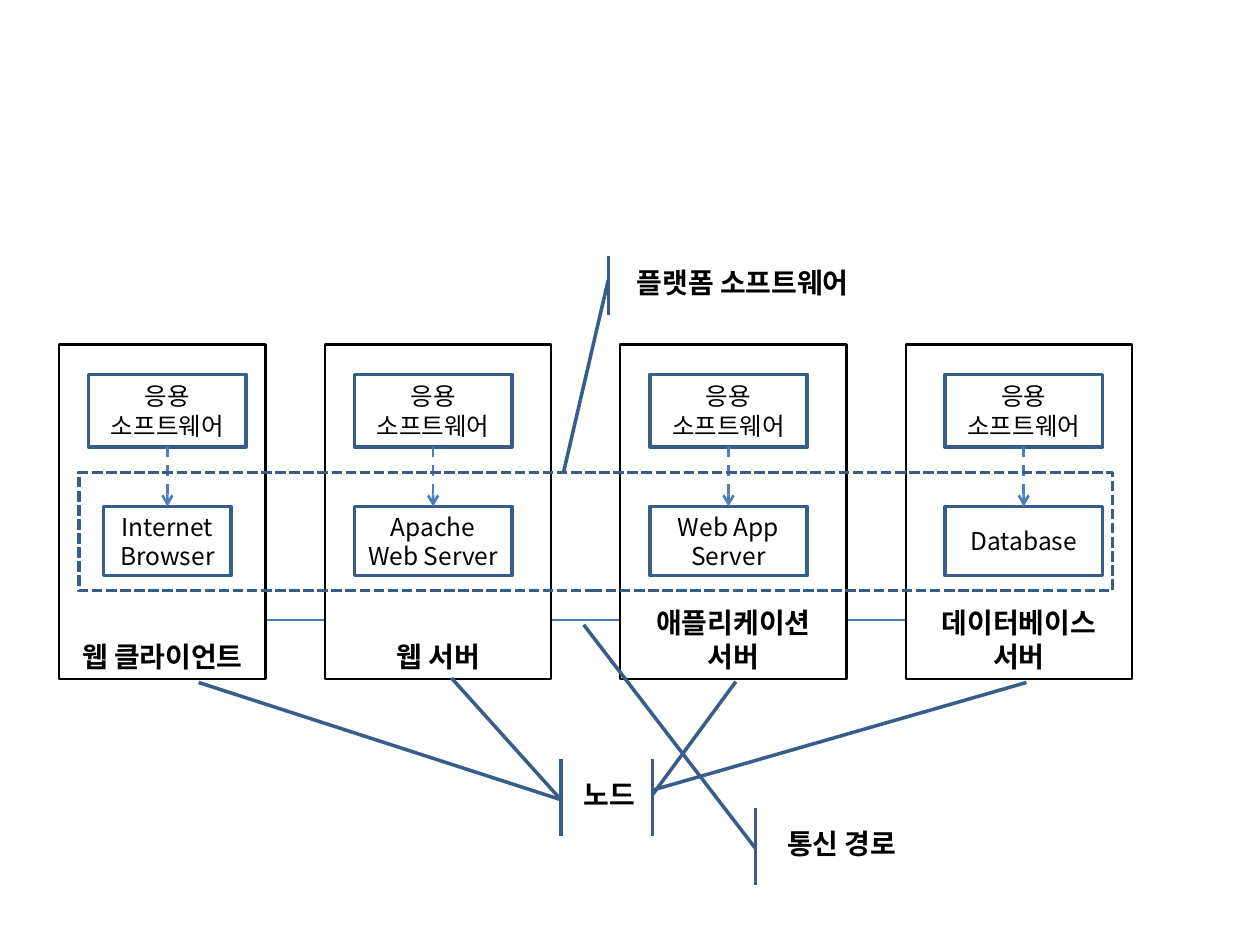
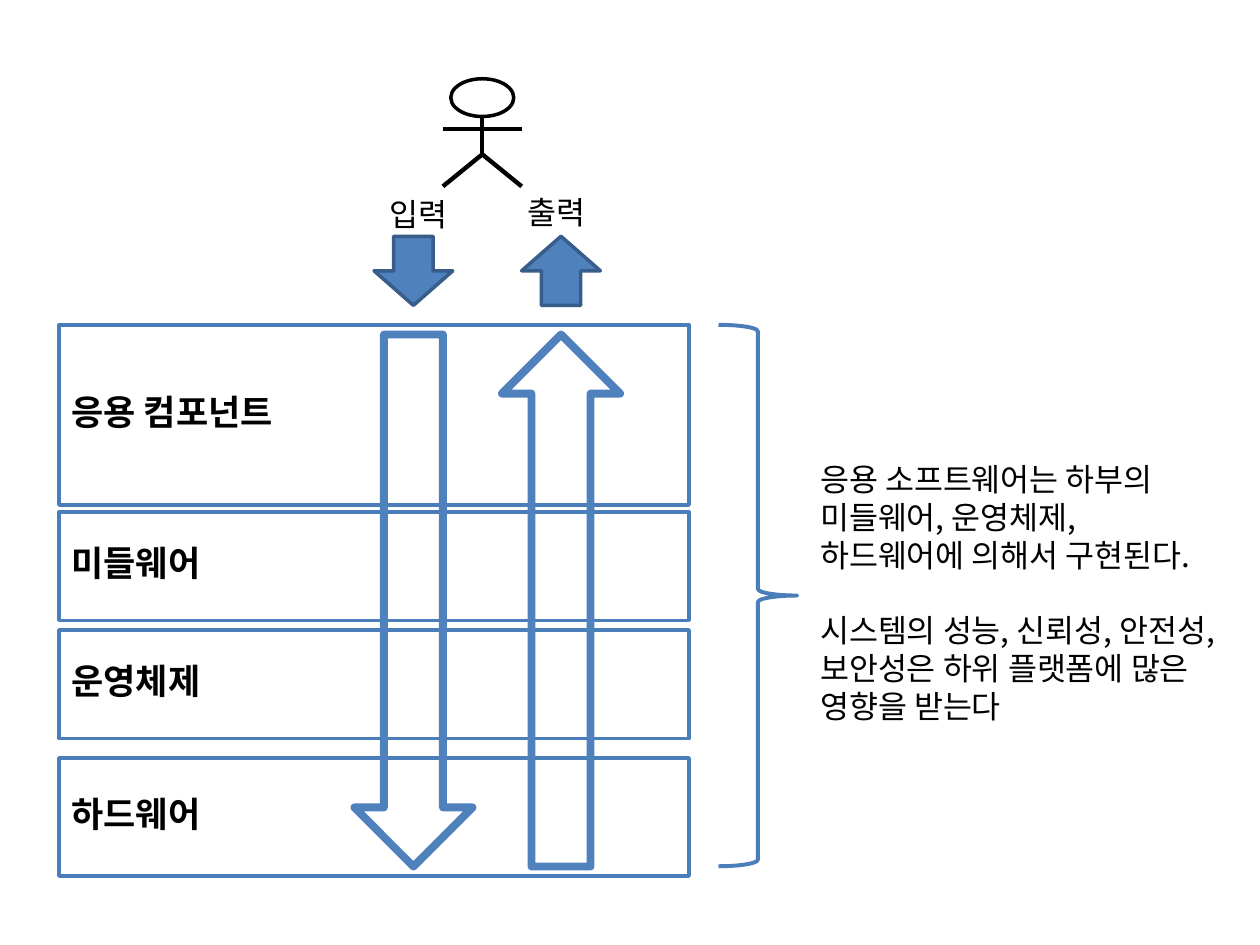
from lxml import etree
from pptx import Presentation
from pptx.dml.color import RGBColor
from pptx.enum.dml import MSO_LINE
from pptx.enum.shapes import MSO_CONNECTOR, MSO_SHAPE
from pptx.enum.text import MSO_ANCHOR, PP_ALIGN
from pptx.oxml.ns import qn
from pptx.util import Pt

RECT, OVAL = MSO_SHAPE.RECTANGLE, MSO_SHAPE.OVAL
DOWN, UP = MSO_SHAPE.DOWN_ARROW, MSO_SHAPE.UP_ARROW
BRACE, CALLOUT = MSO_SHAPE.RIGHT_BRACE, MSO_SHAPE.LINE_CALLOUT_1_ACCENT_BAR
STRAIGHT = MSO_CONNECTOR.STRAIGHT
DASH, DOTS = MSO_LINE.DASH, MSO_LINE.SQUARE_DOT
LEFT, CENTER = PP_ALIGN.LEFT, PP_ALIGN.CENTER
TOP, MIDDLE, LOW = MSO_ANCHOR.TOP, MSO_ANCHOR.MIDDLE, MSO_ANCHOR.BOTTOM

FACE = "Noto Sans CJK KR"
BLACK, WHITE = "000000", "FFFFFF"
NAVY, BLUE, SKY = "385D8A", "4A7EBB", "4F81BD"
BOTTOM_SIDE, TOP_SIDE = 2, 0


def color(code):
    return RGBColor.from_string(code)


def pts(values):
    return [Pt(v) for v in values]


def write(shape, text, size, bold=False, align=CENTER, anchor=MIDDLE,
          pitch=1.2, gap=0, wrap=True):
    """Fill a shape with one paragraph per line of text."""
    frame = shape.text_frame
    frame.text = text
    frame.word_wrap = wrap
    frame.vertical_anchor = anchor
    for i, para in enumerate(frame.paragraphs):
        form = {"alignment": align, "line_spacing": Pt(size * pitch)}
        if gap and i:
            form["space_before"] = Pt(gap)
        for key, value in form.items():
            setattr(para, key, value)
        for run in para.runs:
            run.font.color.rgb = color(BLACK)
            for key, value in {"size": Pt(size), "bold": bold, "name": FACE}.items():
                setattr(run.font, key, value)
            props = run._r.get_or_add_rPr()
            etree.SubElement(props, qn("a:ea"), typeface=FACE)


def draw(shapes, kind, box, edge, width=2, fill=None):
    shape = shapes.add_shape(kind, *pts(box))
    shape.shadow.inherit = False
    if fill:
        shape.fill.solid()
        shape.fill.fore_color.rgb = color(fill)
    else:
        shape.fill.background()
    shape.line.color.rgb = color(edge)
    shape.line.width = Pt(width)
    return shape


def link(shapes, start, end, edge=BLUE, width=1.5):
    line = shapes.add_connector(STRAIGHT, *pts(start + end))
    line.line.color.rgb = color(edge)
    line.line.width = Pt(width)
    etree.SubElement(line._element.spPr, qn("a:effectLst"))
    return line


def uses(shapes, upper, lower):
    """Join two boxes with a dashed arrow."""
    line = link(shapes, (0, 0), (0, 0))
    line.begin_connect(upper, BOTTOM_SIDE)
    line.end_connect(lower, TOP_SIDE)
    line.line.dash_style = DASH
    etree.SubElement(line.line._get_or_add_ln(), qn("a:tailEnd"), type="arrow")


def callout(shapes, box, bar, join, tip, text=""):
    """Draw a label with an accent bar at x = bar and a leader from y = join to tip."""
    x, y, w, h = box
    shape = draw(shapes, CALLOUT, box, NAVY)
    ends = [(join - y) / h, (bar - x) / w, (tip[1] - y) / h, (tip[0] - x) / w]
    for i, value in enumerate(ends):
        shape.adjustments[i] = value
    if text:
        write(shape, text, 16, True, pitch=1)


def node(shapes, box, label, soft, base, inset, trim):
    """Draw a machine with its application above its platform software."""
    x, y, w, h = box
    write(draw(shapes, RECT, box, BLACK, 1.25, WHITE), label, 16, True, anchor=LOW)
    app = draw(shapes, RECT, (x + inset, y + 17, 90, 41.5), NAVY)
    low = draw(shapes, RECT, (x + inset + trim, y + 92.5, 90 - 2 * trim, 39.5), NAVY)
    write(app, soft, 14)
    write(low, base, 14)
    return app, low


def deploy(slide):
    shapes = slide.shapes
    top, high, wire = 196.9, 191.2, 354.4
    hub = (324.7, 433.5, 46.8, 44.5)
    for bar, join, tip in [(373, 451.5, (586.5, 390)), (373, 454, (420.5, 389.5)),
                           (320.5, 457, (113.5, 390))]:
        callout(shapes, hub, bar, join, tip)

    nodes = [
        (33.75, 118, "웹 클라이언트", "Internet Browser", 16.9, 8.5),
        (185.6, 129.4, "웹 서버", "Apache Web Server", 16.9, 0),
        (354.4, 129.4, "애플리케이션\n서버", "Web App Server", 16.9, 0),
        (517.5, 129.4, "데이터베이스\n서버", "Database", 22.5, 0),
    ]
    for (x, w, *_), (after, *_) in zip(nodes, nodes[1:]):
        link(shapes, (x + w, wire), (after, wire))
    pairs = [node(shapes, (x, top, w, high), label, "응용\n소프트웨어", base, inset, trim)
             for x, w, label, base, inset, trim in nodes]
    for app, low in pairs:
        uses(shapes, app, low)

    draw(shapes, RECT, (45, 270, 590.6, 67.5), NAVY).line.dash_style = DOTS
    callout(shapes, hub, 320.5, 457, (258, 387.5), "노드")
    callout(shapes, (348.5, 146.3, 152, 33.7), 347.6, 160, (322, 270), "플랫폼 소프트웨어")
    callout(shapes, (438.8, 461.5, 84.4, 44.5), 431.8, 485, (333.5, 357), "통신 경로")


def actor(shapes, box):
    """Draw a stick figure inside the box."""
    x, y, w, h = box
    mid, neck, hip = x + w / 2, y + 21.6, y + 43.2
    parts = shapes.add_group_shape().shapes
    draw(parts, OVAL, (mid - 18, y, 36, 21.6), BLACK)
    for start, end in [((mid, neck), (mid, hip)),
                       ((x, neck + 7.2), (x + w, neck + 7.2)),
                       ((mid, hip), (x, y + h)),
                       ((mid, hip), (x + w, y + h))]:
        link(parts, start, end, BLACK, 2.5)


def layers(shapes, x, w):
    for y, h, name in [(185.6, 103, "응용 컴포넌트"), (292.5, 62, "미들웨어"),
                       (360, 62, "운영체제"), (433.1, 67.5, "하드웨어")]:
        write(draw(shapes, RECT, (x, y, w, h), BLUE), name, 20, True, LEFT, pitch=1)


def flow(shapes, kind, mid, name, left, top):
    """Draw one direction of data: a label, a small arrow and a tall one."""
    draw(shapes, kind, (mid - 33.75, 191.2, 67.5, 304), SKY, 4.5)
    draw(shapes, kind, (mid - 22.5, 135, 45, 39.5), NAVY, 2, SKY)
    label = shapes.add_textbox(*pts((left, top, 47.5, 29)))
    write(label, name, 18, align=LEFT, anchor=TOP, wrap=False)


def stack(slide):
    shapes = slide.shapes
    layers(shapes, 33.75, 360)
    actor(shapes, (253.1, 45, 45, 61.5))
    flow(shapes, DOWN, 236.25, "입력", 215.5, 108)
    flow(shapes, UP, 320.6, "출력", 294.5, 106.5)
    draw(shapes, BRACE, (410.6, 185.6, 45, 309.4), BLUE, 2.25)
    note = shapes.add_textbox(*pts((461.5, 283, 242, 111)))
    write(note, "응용 소프트웨어는 하부의 미들웨어, 운영체제, 하드웨어에 의해서 구현된다.\n"
          "시스템의 성능, 신뢰성, 안전성, 보안성은 하위 플랫폼에 많은 영향을 받는다",
          18, align=LEFT, gap=21.6)


def main():
    deck = Presentation()
    deck.slide_width, deck.slide_height = Pt(720), Pt(540)
    blank = deck.slide_layouts[6]
    for build in (deploy, stack):
        build(deck.slides.add_slide(blank))
    deck.save("out.pptx")


if __name__ == "__main__":
    main()
